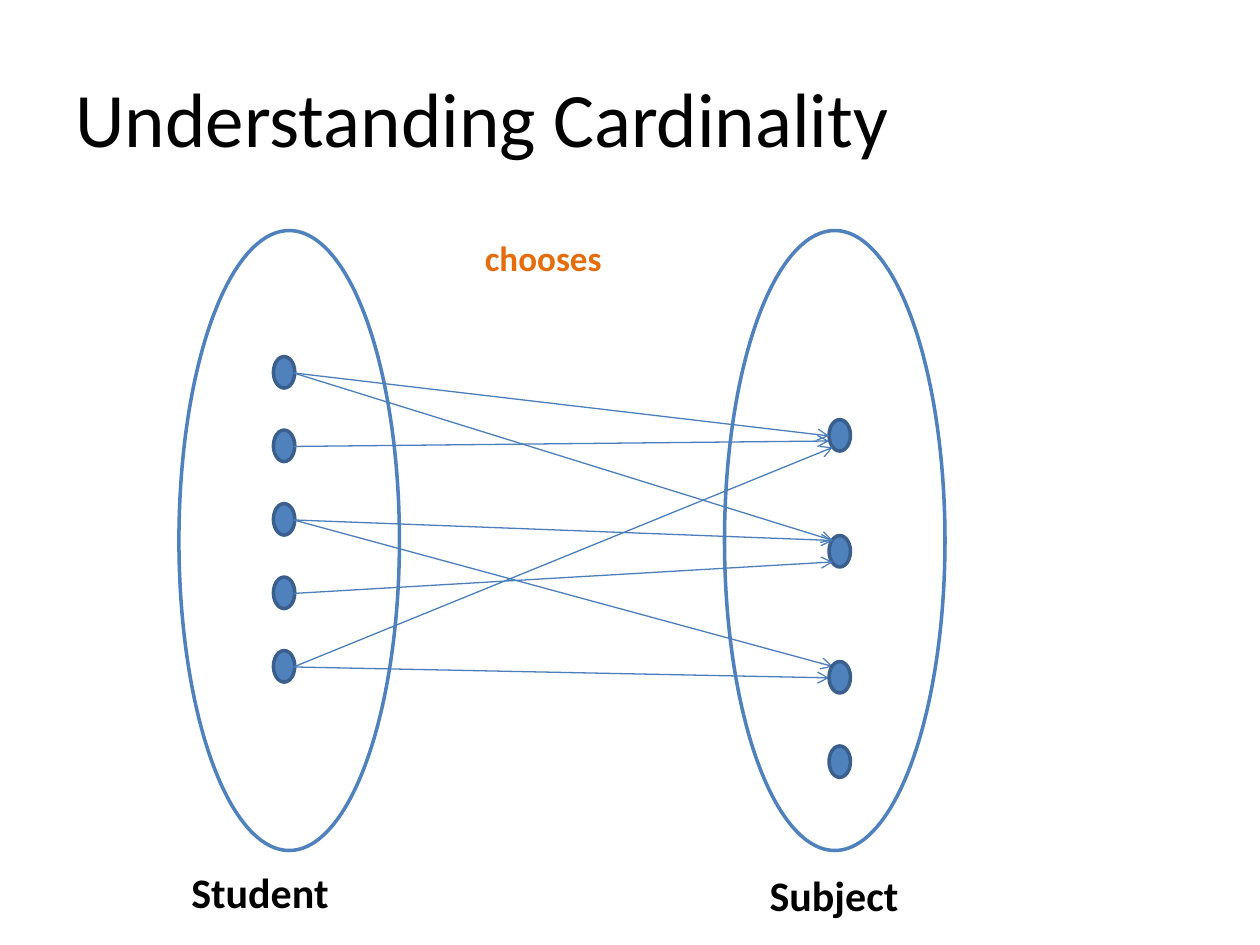
from dataclasses import dataclass

from lxml.etree import SubElement
from pptx import Presentation
from pptx.dml.color import RGBColor
from pptx.enum.shapes import MSO_CONNECTOR, MSO_SHAPE
from pptx.enum.text import MSO_ANCHOR, MSO_AUTO_SIZE, PP_ALIGN
from pptx.oxml.ns import qn
from pptx.util import Inches, Pt


@dataclass(frozen=True)
class Theme:
    font: str = "Calibri"
    text: str = "000000"
    accent: str = "E46C0A"
    paper: str = "FFFFFF"
    blue: str = "4F81BD"
    dot_edge: str = "3A5F8C"
    arrow: str = "4B7EBC"
    title_size: int = 44
    label_size: int = 24
    relation_size: int = 20
    outline: float = 2
    arrow_width: float = 0.75


def rgb(value):
    return RGBColor.from_string(value)


def write(tf, text, *, font, size, color, bold=False, align=PP_ALIGN.LEFT):
    p = tf.paragraphs[0]
    p.alignment = align
    r = p.add_run()
    r.text = text
    r.font.name = font
    r.font.size = Pt(size)
    r.font.bold = bold
    r.font.color.rgb = rgb(color)


class SlideBuilder:
    def __init__(self, s, theme):
        self.s = s
        self.theme = theme

    def title(self, text, x, y, w, h):
        sp = self.s.shapes.title
        sp.left, sp.top, sp.width, sp.height = map(Inches, (x, y, w, h))
        tf = sp.text_frame
        tf.vertical_anchor = MSO_ANCHOR.MIDDLE
        write(tf, text, font=self.theme.font, size=self.theme.title_size,
              color=self.theme.text)

    def label(self, text, x, y, w, h, size, color):
        sp = self.s.shapes.add_textbox(*map(Inches, (x, y, w, h)))
        tf = sp.text_frame
        tf.word_wrap = False
        tf.auto_size = MSO_AUTO_SIZE.SHAPE_TO_FIT_TEXT
        write(tf, text, font=self.theme.font, size=size, color=color, bold=True)

    def ellipse(self, x, y, w, h, fill, line):
        sp = self.s.shapes.add_shape(MSO_SHAPE.OVAL, *map(Inches, (x, y, w, h)))
        sp.shadow.inherit = False
        sp.fill.solid()
        sp.fill.fore_color.rgb = rgb(fill)
        sp.line.color.rgb = rgb(line)
        sp.line.width = Pt(self.theme.outline)

    def entity_set(self, x):
        self.ellipse(x, 1.83, 1.75, 4.92, self.theme.paper, self.theme.blue)

    def dot(self, x, y):
        self.ellipse(x, y, 0.17, 0.25, self.theme.blue, self.theme.dot_edge)

    def arrow(self, x1, y1, x2, y2):
        c = self.s.shapes.add_connector(
            MSO_CONNECTOR.STRAIGHT, *map(Inches, (x1, y1, x2, y2)))
        c.line.color.rgb = rgb(self.theme.arrow)
        c.line.width = Pt(self.theme.arrow_width)
        SubElement(c.line._get_or_add_ln(), qn("a:tailEnd"), type="arrow")
        SubElement(c._element.spPr, qn("a:effectLst"))


def main():
    prs = Presentation()
    prs.slide_width, prs.slide_height = Inches(10), Inches(7.5)
    theme = Theme()
    b = SlideBuilder(prs.slides.add_slide(prs.slide_layouts[5]), theme)

    b.title("Understanding Cardinality", 0.5, 0.3, 9, 1.25)
    for x in (1.42, 5.75):
        b.entity_set(x)
    b.label("Student", 1.42, 6.83, 1.3, 0.5, theme.label_size, theme.text)
    b.label("Subject", 6.01, 6.85, 1.24, 0.5, theme.label_size, theme.text)
    b.label("chooses", 3.75, 1.83, 1.14, 0.44, theme.relation_size, theme.accent)

    student_x, subject_x = 2.17, 6.58
    students = [2.83 + i * 7 / 12 for i in range(5)]
    subjects = (3.33, 4.25, 5.25, 5.92)

    side, corner = subject_x, subject_x + 0.03
    choices = (
        (0, side, 3.46), (0, corner, 4.29),
        (1, side, 3.5),
        (2, corner, 4.29), (2, corner, 5.29),
        (3, corner, 4.46),
        (4, side, 5.38), (4, corner, 3.55),
    )
    for y in students:
        b.dot(student_x, y)
    for y in subjects[:2]:
        b.dot(subject_x, y)
    for student, x, y in choices:
        b.arrow(student_x + 0.16, students[student] + 0.13, x, y)
    for y in subjects[2:]:
        b.dot(subject_x, y)

    prs.save("out.pptx")


if __name__ == "__main__":
    main()
